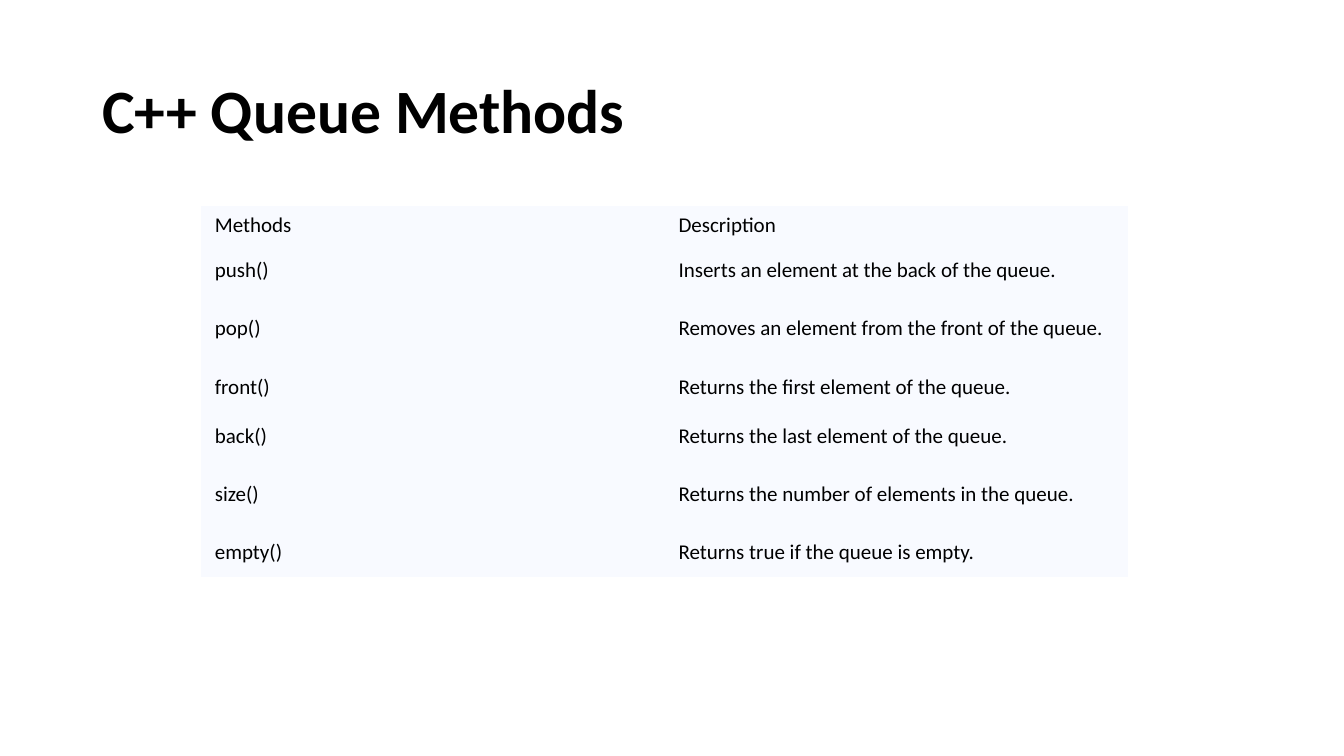
"""Build a slide listing the C++ queue methods in a table."""
from dataclasses import dataclass

from pptx import Presentation
from pptx import util as u
from pptx.dml.color import RGBColor
from pptx.enum import text
from pptx.oxml import ns


@dataclass(frozen=True)
class Theme:
    font: str = "Calibri"
    ink: RGBColor = RGBColor(0x00, 0x00, 0x00)
    cell: RGBColor = RGBColor(0xF8, 0xFA, 0xFF)
    title_size: int = 44
    body_size: int = 15


THEME = Theme()
PLAIN_TABLE_STYLE = "{2D5ABB26-0587-4C30-8999-92F81FD0307C}"
CELL_FORMAT = {
    "vertical_anchor": text.MSO_ANCHOR.MIDDLE,
    "margin_left": u.Pt(10),
    "margin_right": u.Pt(10),
    "margin_top": u.Pt(5),
    "margin_bottom": u.Pt(5),
}
METHODS = [
    (28.3, "Methods", "Description"),
    (35.3, "push()", "Inserts an element at the back of the queue."),
    (48.2, "pop()", "Removes an element from the front of the queue."),
    (35.3, "front()", "Returns the first element of the queue."),
    (35.3, "back()", "Returns the last element of the queue."),
    (48.2, "size()", "Returns the number of elements in the queue."),
    (34.6, "empty()", "Returns true if the queue is empty."),
]


def apply_format(target, values):
    for name, value in values.items():
        setattr(target, name, value)


def write(paragraph, words, size, bold=False):
    paragraph.text = words
    font = paragraph.runs[0].font
    apply_format(font, {"name": THEME.font, "size": u.Pt(size), "bold": bold})
    font.color.rgb = THEME.ink


def add_title(slide, words, left, top, width, height):
    shape = slide.shapes.add_textbox(u.Pt(left), u.Pt(top), u.Pt(width), u.Pt(height))
    frame = shape.text_frame
    apply_format(frame, {"word_wrap": True, "vertical_anchor": text.MSO_ANCHOR.MIDDLE})
    paragraph = frame.paragraphs[0]
    paragraph.line_spacing = 0.9
    write(paragraph, words, THEME.title_size, bold=True)


def add_method_table(slide, methods, left, top, width):
    height = sum(row_height for row_height, *_ in methods)
    shape = slide.shapes.add_table(
        len(methods), 2, u.Pt(left), u.Pt(top), u.Pt(width), u.Pt(height)
    )
    table = shape.table
    apply_format(table, {"first_row": False, "horz_banding": False})
    shape._element.find(".//" + ns.qn("a:tableStyleId")).text = PLAIN_TABLE_STYLE
    for row, (row_height, *entries) in zip(table.rows, methods):
        row.height = u.Pt(row_height)
        for cell, words in zip(row.cells, entries):
            apply_format(cell, CELL_FORMAT)
            cell.fill.solid()
            cell.fill.fore_color.rgb = THEME.cell
            write(cell.text_frame.paragraphs[0], words, THEME.body_size)


def main():
    presentation = Presentation()
    apply_format(presentation, {"slide_width": u.Pt(960), "slide_height": u.Pt(540)})
    slide = presentation.slides.add_slide(presentation.slide_layouts[6])
    add_title(slide, "C++ Queue Methods", 66, 28.75, 828, 104.4)
    add_method_table(slide, METHODS, 143.5, 147, 662.4)
    presentation.save("out.pptx")


if __name__ == "__main__":
    main()
